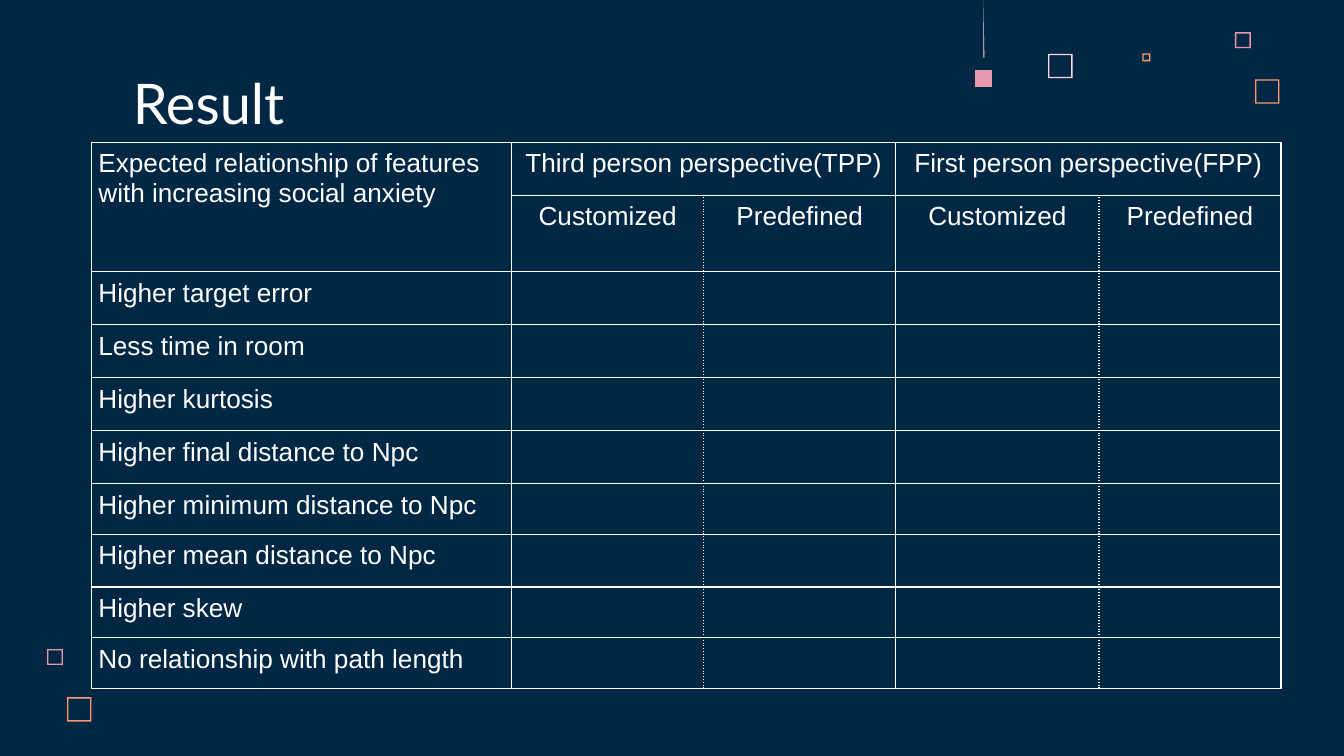
from lxml.etree import SubElement
from pptx import Presentation
from pptx.dml.color import RGBColor
from pptx.enum.text import MSO_ANCHOR as Anchor, PP_ALIGN as Align
from pptx.oxml.ns import qn
from pptx.util import Cm, Pt

NAVY = RGBColor(0x00, 0x28, 0x45)
WHITE = RGBColor(0xFF, 0xFF, 0xFF)
BLUSH = RGBColor(0xFF, 0xD6, 0xE1)
PINK = RGBColor(0xE8, 0x98, 0xAC)
ORANGE = RGBColor(0xFF, 0x99, 0x73)

COLUMN_WIDTHS = [7.94, 3.63, 3.63, 3.84, 3.44]
ROW_HEIGHTS = [1, 1.36, 1, 1, 1, 1, 0.96, 1, 0.96, 0.96]
HEADING = "Expected relationship of features with increasing social anxiety"
PERSPECTIVES = ["Third person perspective(TPP)", "First person perspective(FPP)"]
AVATARS = ["Customized", "Predefined"]
FEATURES = [
    "Higher target error",
    "Less time in room",
    "Higher kurtosis",
    "Higher final distance to Npc",
    "Higher minimum distance to Npc",
    "Higher mean distance to Npc",
    "Higher skew",
    "No relationship with path length",
]

# left, top, side (cm), colour
FRAMES = [
    (19.81, 1.02, 0.46, BLUSH),
    (23.34, 0.61, 0.3, PINK),
    (21.59, 1.01, 0.15, ORANGE),
    (23.72, 1.5, 0.46, ORANGE),
    (0.89, 12.27, 0.3, PINK),
    (1.27, 13.18, 0.46, ORANGE),
]


def style_span(span, font, size):
    span.font.name = font
    span.font.size = Pt(size)
    span.font.color.rgb = WHITE


def add_outline(page, contours, color):
    """Fill a freeform made of one or more closed contours, given in cm."""
    contours = [[(Cm(x), Cm(y)) for x, y in points] for points in contours]
    builder = page.shapes.build_freeform(*contours[0][0])
    for index, points in enumerate(contours):
        if index:
            builder.move_to(*points[0])
        builder.add_line_segments(points[1:], close=True)
    shape = builder.convert_to_shape()
    shape.shadow.inherit = False
    shape.fill.solid()
    shape.fill.fore_color.rgb = color
    shape.line.fill.background()


def square(left, top, side):
    right, bottom = left + side, top + side
    return [(left, top), (left, bottom), (right, bottom), (right, top)]


def add_frame(page, left, top, side, color, edge=0.025):
    hole = square(left + edge, top + edge, side - 2 * edge)
    add_outline(page, [square(left, top, side), hole[::-1]], color)


def add_pendant(page, left, top, side):
    """Hang a solid square below a thread from the top of the page."""
    add_outline(page, [square(left, top, side)], PINK)
    middle, end = left + side / 2, top - 0.23
    add_outline(page, [[(middle, 0), (middle, end), (middle + 0.02, end)]], BLUSH)


def add_title(page, left, top, width, height):
    box = page.shapes.add_textbox(Cm(left), Cm(top), Cm(width), Cm(height))
    frame = box.text_frame
    frame.word_wrap = True
    frame.vertical_anchor = Anchor.BOTTOM
    frame.text = "Result"
    style_span(frame.paragraphs[0].runs[0], "Lato", 30)


def set_borders(cell, dotted):
    """Draw white borders; dotted holds the sides (L, R, T, B) to dot."""
    properties = cell._tc.get_or_add_tcPr()
    for index, side in enumerate("LRTB"):
        line = SubElement(properties, qn(f"a:ln{side}"), w=str(Pt(0.75)))
        fill = SubElement(line, qn("a:solidFill"))
        SubElement(fill, qn("a:srgbClr"), val=str(WHITE))
        SubElement(line, qn("a:prstDash"), val="dot" if side in dotted else "solid")
        properties.insert(index, line)


def style_cell(cell, row, column):
    cell.fill.background()
    cell.margin_left = cell.margin_right = Cm(0.13)
    # Blank cells must not stretch their row.
    cell.margin_top = cell.margin_bottom = Cm(0.13 if cell.text else 0)
    para = cell.text_frame.paragraphs[0]
    if column:
        para.alignment = Align.CENTER
    for span in para.runs:
        style_span(span, "Arial", 14)
    inner_side = "R" if column % 2 else "L"
    set_borders(cell, inner_side if row and column else "")


def add_results(page, left, top):
    table = page.shapes.add_table(
        len(ROW_HEIGHTS), len(COLUMN_WIDTHS), Cm(left), Cm(top),
        Cm(sum(COLUMN_WIDTHS)), Cm(sum(ROW_HEIGHTS))).table
    table.first_row = table.horz_banding = False
    for column, width in zip(table.columns, COLUMN_WIDTHS):
        column.width = Cm(width)
    for row, height in zip(table.rows, ROW_HEIGHTS):
        row.height = Cm(height)

    table.cell(0, 0).merge(table.cell(1, 0))
    table.cell(0, 0).text = HEADING
    for column, perspective in zip((1, 3), PERSPECTIVES):
        table.cell(0, column).merge(table.cell(0, column + 1))
        table.cell(0, column).text = perspective
        for offset, avatar in enumerate(AVATARS):
            table.cell(1, column + offset).text = avatar
    for row, feature in enumerate(FEATURES, start=2):
        table.cell(row, 0).text = feature

    for row in range(len(ROW_HEIGHTS)):
        for column in range(len(COLUMN_WIDTHS)):
            style_cell(table.cell(row, column), row, column)


def main():
    deck = Presentation()
    deck.slide_width, deck.slide_height = Cm(25.4), Cm(14.29)
    page = deck.slides.add_slide(deck.slide_layouts[6])
    page.background.fill.solid()
    page.background.fill.fore_color.rgb = NAVY
    for frame in FRAMES:
        add_frame(page, *frame)
    add_pendant(page, 18.42, 1.32, 0.33)
    add_title(page, 2.26, 1.04, 21.95, 1.65)
    add_results(page, 1.73, 2.69)
    deck.save("out.pptx")


if __name__ == "__main__":
    main()
